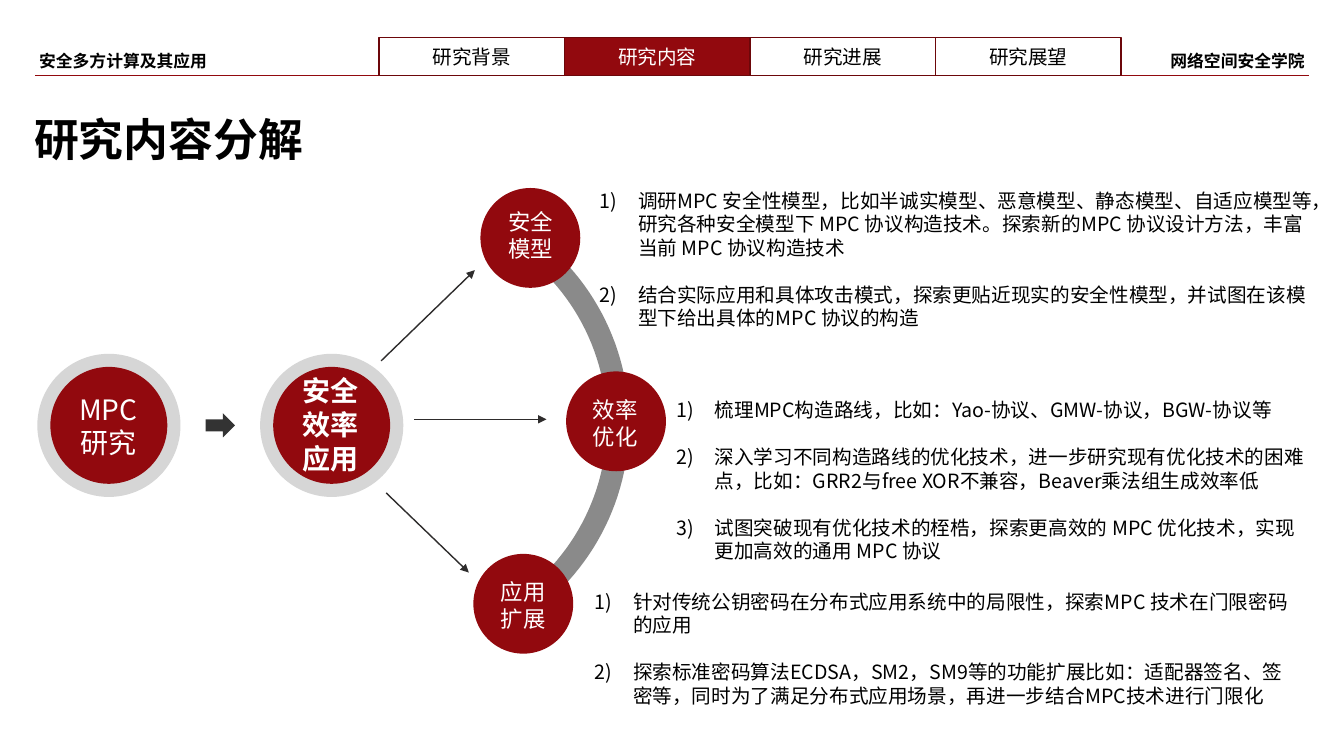
from math import cos, sin, radians
from lxml.etree import SubElement
from pptx import Presentation
from pptx.dml.color import RGBColor
from pptx.enum.shapes import MSO_CONNECTOR, MSO_SHAPE
from pptx.enum.text import MSO_ANCHOR, PP_ALIGN
from pptx.oxml.ns import qn
from pptx.util import Inches, Pt

FACE = "Noto Sans CJK SC"
RED = RGBColor(0x92, 0x09, 0x0E)
DARK = RGBColor(0x6C, 0x07, 0x0A)
BLACK = RGBColor(0, 0, 0)
WHITE = RGBColor(255, 255, 255)
RING = RGBColor(0xD6, 0xD6, 0xD6)
GRAY = RGBColor(0x8A, 0x8A, 0x8A)
INK = RGBColor(0x2E, 0x2C, 0x2C)
ARROW = RGBColor(0x33, 0x33, 0x33)

TABS = ["研究背景", "研究内容", "研究进展", "研究展望"]
MODEL = [
    "调研MPC 安全性模型，比如半诚实模型、恶意模型、静态模型、自适应模型等，研究各种安全模型下 MPC 协议构造技术。探索新的MPC 协议设计方法，丰富当前 MPC 协议构造技术",
    "结合实际应用和具体攻击模式，探索更贴近现实的安全性模型，并试图在该模型下给出具体的MPC 协议的构造",
]
SPEED = [
    "梳理MPC构造路线，比如：Yao-协议、GMW-协议，BGW-协议等",
    "深入学习不同构造路线的优化技术，进一步研究现有优化技术的困难点，比如：GRR2与free XOR不兼容，Beaver乘法组生成效率低",
    "试图突破现有优化技术的桎梏，探索更高效的 MPC 优化技术，实现更加高效的通用 MPC 协议",
]
USES = [
    "针对传统公钥密码在分布式应用系统中的局限性，探索MPC 技术在门限密码的应用",
    "探索标准密码算法ECDSA，SM2，SM9等的功能扩展比如：适配器签名、签密等，同时为了满足分布式应用场景，再进一步结合MPC技术进行门限化",
]


def apply(item, values):
    """Set every attribute of a dict on an object."""
    for name, value in values.items():
        setattr(item, name, value)


def write(frame, lines, size, color=BLACK, bold=False, align=PP_ALIGN.LEFT):
    """Fill a text frame with paragraphs and return them."""
    frame.word_wrap = True
    paras = [frame.paragraphs[0]] + [frame.add_paragraph() for _ in lines[1:]]
    for para, line in zip(paras, lines):
        apply(para, {"alignment": align, "line_spacing": Pt(size * 1.2)})
        run = para.add_run()
        run.text = line
        apply(run.font, {"name": FACE, "size": Pt(size), "bold": bold})
        run.font.color.rgb = color
        SubElement(run.font._element, qn("a:ea"), typeface=FACE)
    return paras


def label(slide, box, lines, size, **style):
    """Add a text box and return its paragraphs."""
    frame = slide.shapes.add_textbox(*map(Inches, box)).text_frame
    return write(frame, lines, size, **style)


def points(slide, box, lines):
    """Add a numbered list with a gap between its items."""
    for index, para in enumerate(label(slide, box, lines, 14)):
        if index:
            para.space_before = Pt(16.8)
        props = para._p.get_or_add_pPr()
        props.set("marL", str(Inches(0.38)))
        props.set("indent", str(Inches(-0.38)))
        SubElement(props, qn("a:buFont"), typeface=FACE)
        SubElement(props, qn("a:buAutoNum"), type="arabicParenR")


def paint(shape, fill=None, line=None):
    """Give a shape a flat fill and an optional outline."""
    shape.shadow.inherit = False
    if fill is None:
        shape.fill.background()
    else:
        shape.fill.solid()
        shape.fill.fore_color.rgb = fill
    if line is None:
        shape.line.fill.background()
    else:
        shape.line.color.rgb = line
        shape.line.width = Pt(1)
    return shape


def block(slide, kind, box, fill=None, line=None):
    """Add a flat preset shape."""
    return paint(slide.shapes.add_shape(kind, *map(Inches, box)), fill, line)


def disc(slide, x, y, size, fill):
    """Add a circle around a centre."""
    box = (x - size / 2, y - size / 2, size, size)
    block(slide, MSO_SHAPE.OVAL, box, fill)


def rule(slide, ends, color, width, head=False):
    """Add a straight line with an optional arrowhead."""
    line = slide.shapes.add_connector(MSO_CONNECTOR.STRAIGHT, *map(Inches, ends))
    line.line.color.rgb = color
    line.line.width = Pt(width)
    if head:
        SubElement(line.line._get_or_add_ln(), qn("a:tailEnd"), type="triangle")
    SubElement(line._element.spPr, qn("a:effectLst"))


def arc(slide, x, y, inner, outer):
    """Add the curved band that links the three topics."""
    turns = [radians(deg) for deg in range(-60, 60, 2)]
    rim = [(outer, turn) for turn in turns] + [(inner, turn) for turn in turns[::-1]]
    dots = [(Inches(x + r * cos(t)), Inches(y + r * sin(t))) for r, t in rim]
    path = slide.shapes.build_freeform(*dots[0])
    path.add_line_segments(dots[1:], close=True)
    paint(path.convert_to_shape(), GRAY)


def header(slide):
    """Draw the top bar with its tabs."""
    label(slide, (0.29, 0.45, 3.4, 0.3), ["安全多方计算及其应用"], 12, bold=True)
    rule(slide, (0.35, 0.75, 12.98, 0.75), RED, 0.5)
    for index, name in enumerate(TABS):
        active = name == "研究内容"
        box = (3.76 + 1.84 * index, 0.37, 1.84, 0.38)
        tab = block(slide, MSO_SHAPE.RECTANGLE, box, RED if active else None, DARK)
        tab.text_frame.vertical_anchor = MSO_ANCHOR.MIDDLE
        color = WHITE if active else BLACK
        write(tab.text_frame, [name], 14, color, align=PP_ALIGN.CENTER)
    label(slide, (11.2, 0.45, 1.84, 0.3), ["网络空间安全学院"], 12,
          bold=True, align=PP_ALIGN.RIGHT)


def diagram(slide):
    """Draw the circles, the band and the arrows."""
    white = {"color": WHITE, "align": PP_ALIGN.CENTER}
    arc(slide, 3.91, 4.2, 2.11, 2.33)
    topics = [
        (5.26, 2.36, (4.86, 2.02, 0.81, 0.64), ["安全模型"]),
        (6.11, 4.18, (5.69, 3.88, 0.82, 0.64), ["效率优化"]),
        (5.19, 5.99, (4.74, 5.69, 0.9, 0.64), ["应用", "扩展"]),
    ]
    for x, y, box, lines in topics:
        disc(slide, x, y, 0.99, RED)
        label(slide, box, lines, 16, **white)
    hubs = [
        (1.08, (0.66, 3.84, 0.83, 0.77), "MPC研究", False),
        (3.29, (2.79, 3.66, 0.97, 1.11), "安全效率应用", True),
    ]
    for x, box, text, bold in hubs:
        disc(slide, x, 4.22, 1.42, RING)
        disc(slide, x, 4.22, 1.16, RED)
        label(slide, box, [text], 20, bold=bold, **white)
    block(slide, MSO_SHAPE.RIGHT_ARROW, (2.04, 4.1, 0.29, 0.24), ARROW)
    for ends in [(3.78, 3.58, 4.71, 2.68), (4.11, 4.16, 5.42, 4.16),
                 (3.83, 4.89, 4.65, 5.68)]:
        rule(slide, ends, INK, 1, head=True)


def main():
    """Build the slide and save it."""
    deck = Presentation()
    apply(deck, {"slide_width": Inches(13.33), "slide_height": Inches(7.5)})
    slide = deck.slides.add_slide(deck.slide_layouts[6])
    header(slide)
    label(slide, (0.24, 1.06, 5.1, 0.64), ["研究内容分解"], 32, bold=True)
    diagram(slide)
    points(slide, (5.85, 1.82, 7.31, 1.75), MODEL)
    points(slide, (6.61, 3.9, 6.45, 1.75), SPEED)
    points(slide, (5.8, 5.8, 7.15, 1.28), USES)
    deck.save("out.pptx")


if __name__ == "__main__":
    main()
